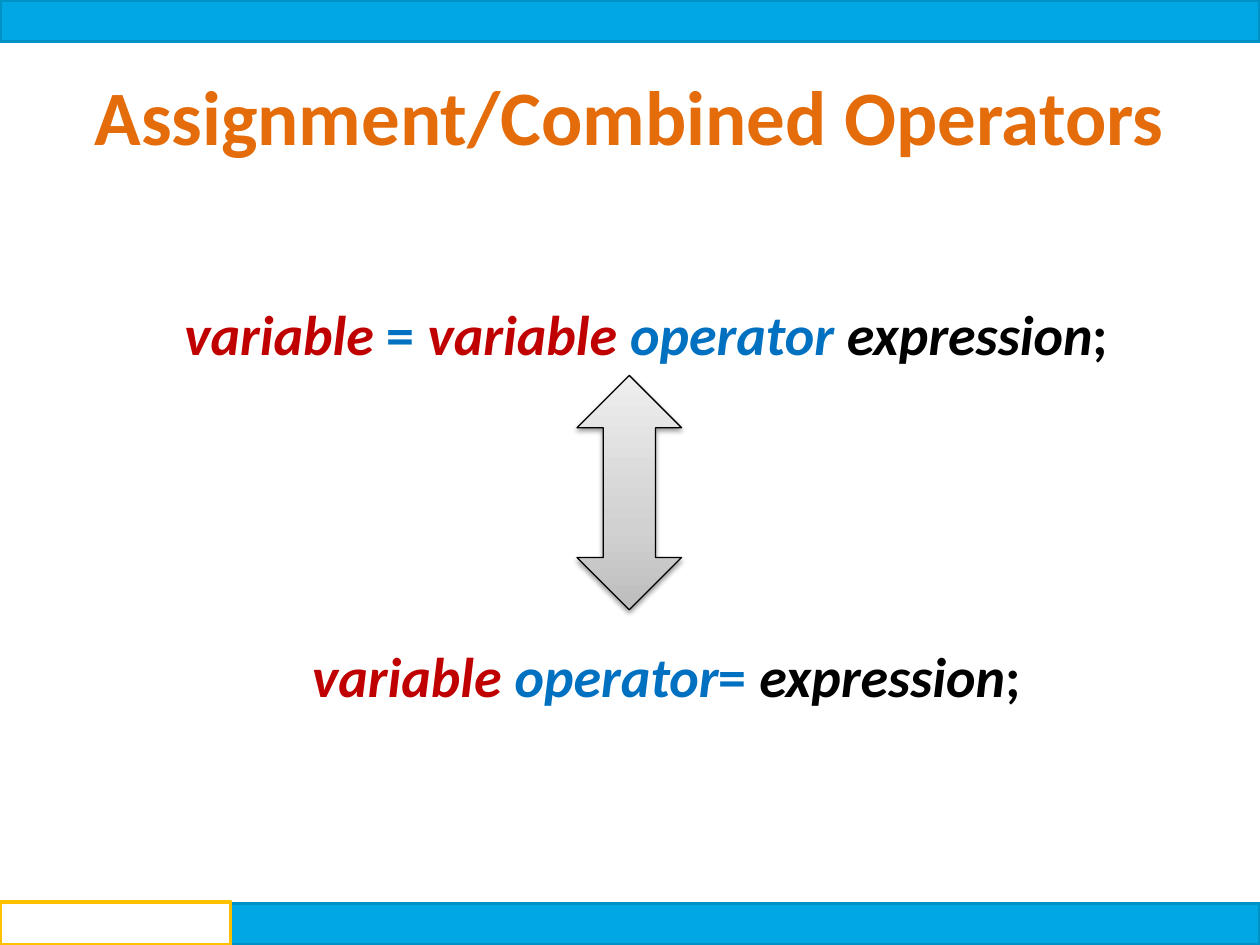
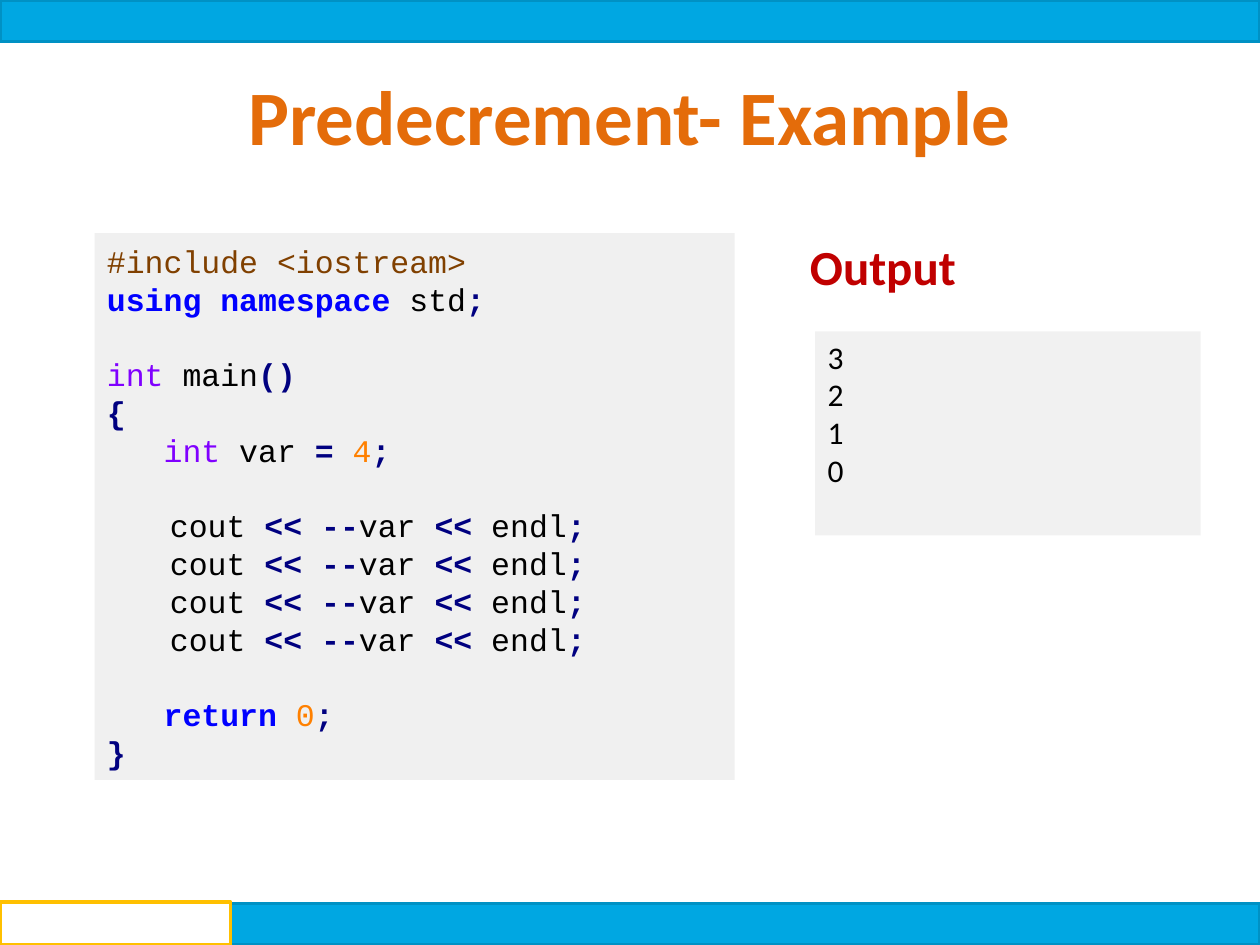
from dataclasses import dataclass
from typing import NamedTuple

from lxml.etree import SubElement
from pptx import Presentation
from pptx.dml.color import RGBColor
from pptx.enum.shapes import MSO_SHAPE
from pptx.enum.text import MSO_ANCHOR, MSO_AUTO_SIZE, PP_ALIGN
from pptx.oxml.ns import qn
from pptx.util import Inches, Pt

COLORS = {
    "white": "FFFFFF", "black": "000000", "band": "00A7E2", "band_edge": "0091C4",
    "gold": "FFC000", "title": "E46C0A", "red": "C00000", "blue": "0070C0",
    "panel": "D9D9D9", "directive": "804000", "keyword": "0000FF",
    "type": "8000FF", "symbol": "000080", "number": "FF8000",
    "arrow_dark": "BDBDBD", "arrow_middle": "D1D1D1", "arrow_light": "EEEEEE",
}
TEXT_FONT, CODE_FONT = "Calibri", "Courier New"
LINE_PITCH = Pt(21.6)


class Box(NamedTuple):
    left: float
    top: float
    width: float
    height: float

    def lengths(self) -> list:
        return [Inches(value) for value in self]


class Run(NamedTuple):
    text: str
    color: str = "black"
    bold: bool = False
    italic: bool = False


@dataclass
class Line:
    runs: list
    indent: float = 0
    gap_before: bool = False


@dataclass
class Band:
    box: Box
    fill: str
    edge: str
    weight: float


@dataclass
class Panel:
    box: Box
    opacity: int
    font: str
    lines: list
    anchor: MSO_ANCHOR


BANDS = [
    Band(Box(0, 0, 10, 0.33), "band", "band_edge", 2),
    Band(Box(0, 7.17, 10, 0.33), "band", "band_edge", 2),
    Band(Box(0, 7.16, 1.83, 0.34), "white", "gold", 2.25),
]
TITLE_BOX = Box(0.25, 0.49, 9.5, 0.84)


def rgb(name: str) -> RGBColor:
    return RGBColor.from_string(COLORS[name])


def set_values(target, values: dict) -> None:
    for name, value in values.items():
        setattr(target, name, value)


def add_runs(paragraph, runs: list, font_name: str, size: float) -> None:
    for item in runs:
        run = paragraph.add_run()
        run.text = item.text
        set_values(run.font, {"name": font_name, "size": Pt(size),
                              "bold": item.bold, "italic": item.italic})
        run.font.color.rgb = rgb(item.color)


def format_frame(frame, anchor=MSO_ANCHOR.TOP) -> None:
    set_values(frame, {"word_wrap": True, "auto_size": MSO_AUTO_SIZE.NONE,
                       "vertical_anchor": anchor})


def add_text(slide, box: Box, runs: list, size: float, alignment=PP_ALIGN.CENTER) -> None:
    frame = slide.shapes.add_textbox(*box.lengths()).text_frame
    format_frame(frame)
    frame.paragraphs[0].alignment = alignment
    add_runs(frame.paragraphs[0], runs, TEXT_FONT, size)


def add_band(slide, band: Band) -> None:
    shape = slide.shapes.add_shape(MSO_SHAPE.RECTANGLE, *band.box.lengths())
    shape.shadow.inherit = False
    shape.fill.solid()
    shape.fill.fore_color.rgb = rgb(band.fill)
    shape.line.color.rgb = rgb(band.edge)
    shape.line.width = Pt(band.weight)


def add_panel(slide, panel: Panel) -> None:
    shape = slide.shapes.add_shape(MSO_SHAPE.RECTANGLE, *panel.box.lengths())
    shape.shadow.inherit = False
    shape.line.fill.background()
    shape.fill.solid()
    shape.fill.fore_color.rgb = rgb("panel")
    color = shape._element.spPr.find(f"{qn('a:solidFill')}/{qn('a:srgbClr')}")
    SubElement(color, qn("a:alpha"), val=str(panel.opacity * 1000))

    frame = shape.text_frame
    format_frame(frame, panel.anchor)
    for index, line in enumerate(panel.lines):
        paragraph = frame.add_paragraph() if index else frame.paragraphs[0]
        if line.indent:
            paragraph._p.get_or_add_pPr().set("marL", str(Inches(line.indent)))
        set_values(paragraph, {"alignment": PP_ALIGN.LEFT, "line_spacing": LINE_PITCH})
        if line.gap_before:
            paragraph.space_before = LINE_PITCH
        add_runs(paragraph, line.runs, panel.font, 18)


def add_equivalence_arrow(slide, box: Box) -> None:
    shape = slide.shapes.add_shape(MSO_SHAPE.UP_DOWN_ARROW, *box.lengths())
    shape.line.color.rgb = rgb("black")
    shape.line.width = Pt(0.75)

    # Three-stop gradient, dark at the bottom
    shape.fill.gradient()
    shape.fill.gradient_angle = 90
    properties = shape._element.spPr
    stops = properties.find(f"{qn('a:gradFill')}/{qn('a:gsLst')}")
    for stop in list(stops):
        stops.remove(stop)
    for position, name in ((0, "arrow_dark"), (35, "arrow_middle"), (100, "arrow_light")):
        stop = SubElement(stops, qn("a:gs"), pos=str(position * 1000))
        SubElement(stop, qn("a:srgbClr"), val=COLORS[name])

    # Soft shadow below
    shape.shadow.inherit = False
    shadow = SubElement(properties.find(qn("a:effectLst")), qn("a:outerShdw"),
                        blurRad=str(Pt(3.1)), dist=str(Pt(1.6)), dir="5400000",
                        rotWithShape="0")
    color = SubElement(shadow, qn("a:srgbClr"), val=COLORS["black"])
    SubElement(color, qn("a:alpha"), val="38000")


def add_slide(presentation, title_text: str):
    slide = presentation.slides.add_slide(presentation.slide_layouts[5])
    for band in BANDS:
        add_band(slide, band)
    title = slide.shapes.title
    set_values(title, dict(zip(("left", "top", "width", "height"), TITLE_BOX.lengths())))
    format_frame(title.text_frame)
    paragraph = title.text_frame.paragraphs[0]
    paragraph.alignment = PP_ALIGN.CENTER
    add_runs(paragraph, [Run(title_text, "title", True)], TEXT_FONT, 44)
    return slide


# Assignment formulas
VARIABLE = Run("variable ", "red", True, True)
EQUALS = Run("= ", "blue", True)
EXPRESSION = [Run("expression", "black", True, True), Run(";", "black", True)]
LONG_FORM = [VARIABLE, EQUALS, VARIABLE, Run("operator ", "blue", True, True), *EXPRESSION]
SHORT_FORM = [VARIABLE, Run("operator", "blue", True, True), EQUALS, *EXPRESSION]

# Predecrement program
SEMICOLON = Run(";", "symbol", True)
INT = Run("int ", "type")
PRINT_RUNS = [Run("cout "), Run("<< --", "symbol", True), Run("var "),
              Run("<< ", "symbol", True), Run("endl"), SEMICOLON]
PROGRAM = [
    Line([Run("#include <iostream>", "directive")]),
    Line([Run("using namespace ", "keyword", True), Run("std"), SEMICOLON]),
    Line([INT, Run("main"), Run("()", "symbol", True)], gap_before=True),
    Line([Run("{", "symbol", True)]),
    Line([Run("   "), INT, Run("var "), Run("= ", "symbol", True),
          Run("4", "number"), SEMICOLON]),
    *[Line(PRINT_RUNS, indent=0.5, gap_before=index == 0) for index in range(4)],
    Line([Run("   "), Run("return ", "keyword", True), Run("0", "number"), SEMICOLON],
         gap_before=True),
    Line([Run("}", "symbol", True)]),
]
PANELS = [
    Panel(Box(0.75, 1.85, 5.08, 4.34), 38, CODE_FONT, PROGRAM, MSO_ANCHOR.MIDDLE),
    Panel(Box(6.47, 2.63, 3.06, 1.62), 35, TEXT_FONT,
          [Line([Run(digit)]) for digit in "3210"], MSO_ANCHOR.TOP),
]


def main() -> None:
    presentation = Presentation()
    presentation.slide_width, presentation.slide_height = Inches(10), Inches(7.5)

    # Combined operators
    slide = add_slide(presentation, "Assignment/Combined Operators")
    add_text(slide, Box(0.67, 2.33, 8.92, 0.64), LONG_FORM, 32)
    add_equivalence_arrow(slide, Box(4.58, 2.98, 0.83, 1.86))
    add_text(slide, Box(0.83, 5.04, 8.92, 0.64), SHORT_FORM, 32)

    # Predecrement example
    slide = add_slide(presentation, "Predecrement- Example")
    for panel in PANELS:
        add_panel(slide, panel)
    add_text(slide, Box(6.33, 1.83, 3.33, 0.57), [Run("Output", "red", True)], 28,
             PP_ALIGN.LEFT)

    presentation.save("out.pptx")


if __name__ == "__main__":
    main()
